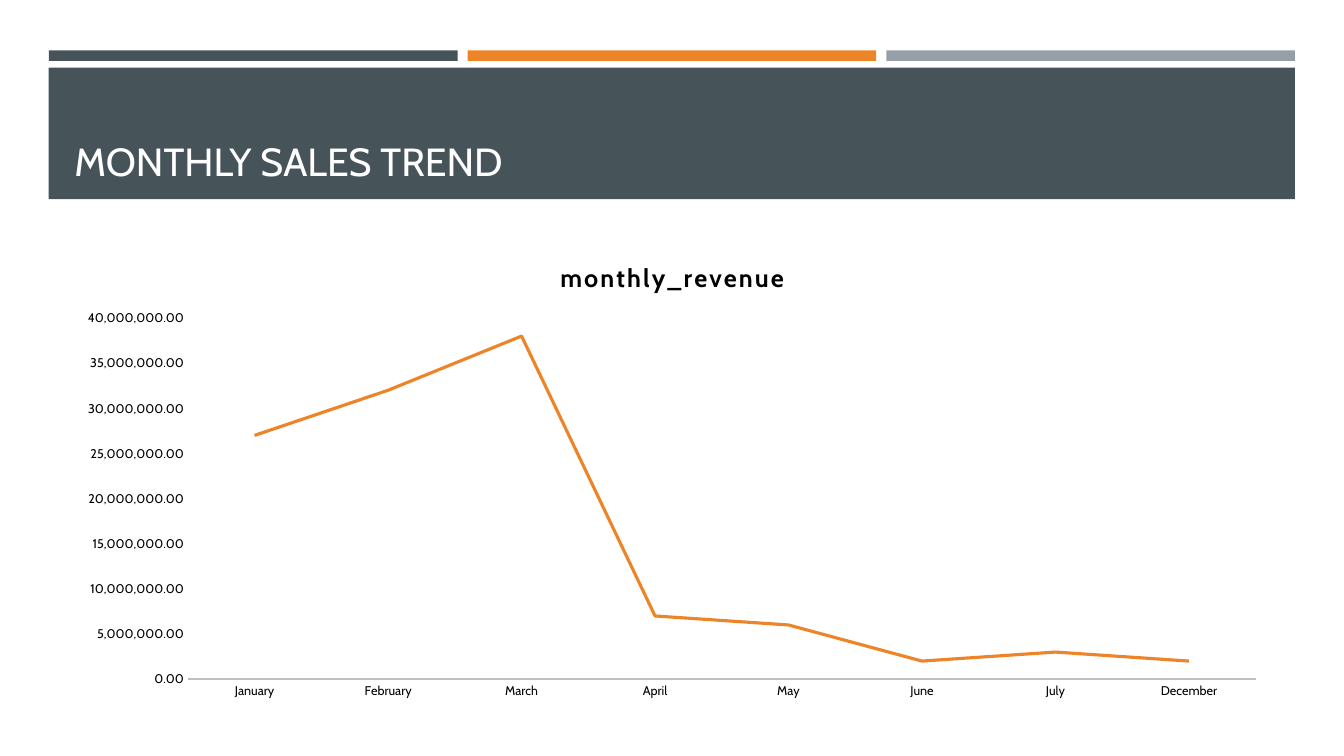
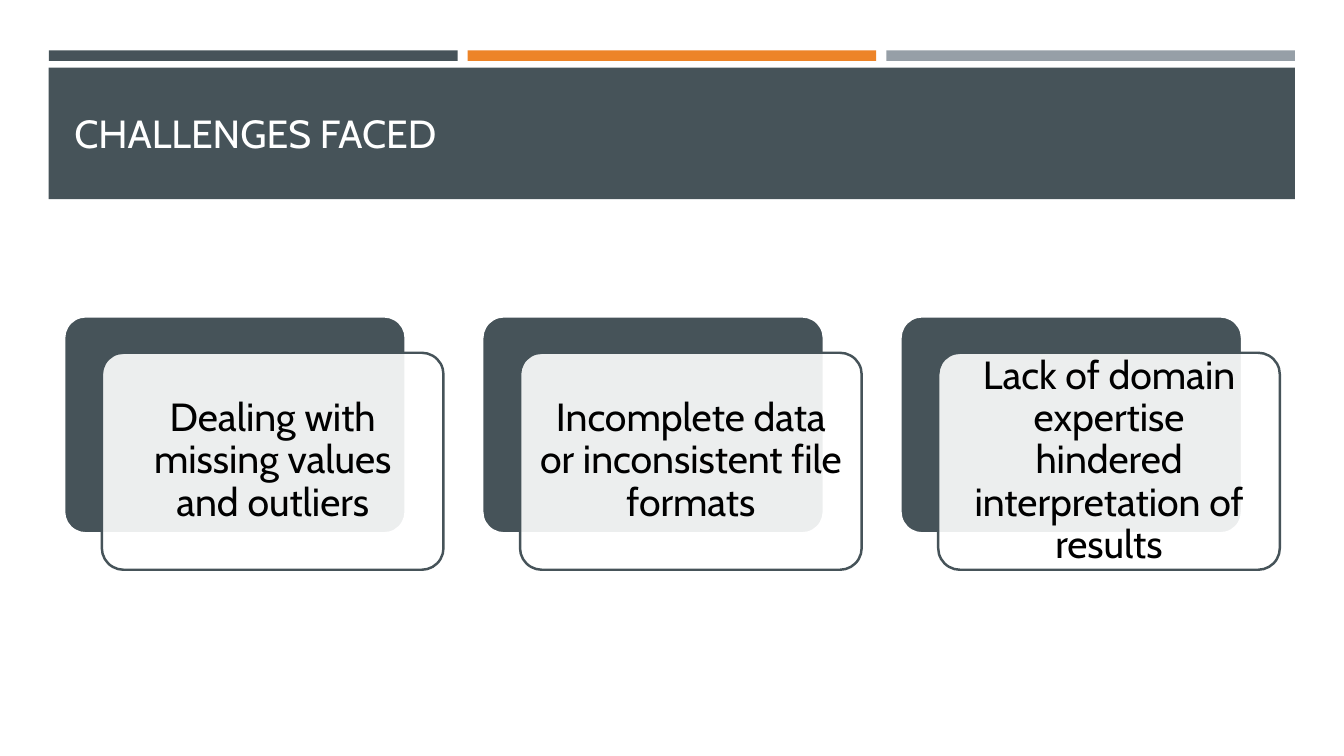
from collections import namedtuple

from lxml.etree import SubElement
from pptx import Presentation
from pptx.chart.data import CategoryChartData
from pptx.dml.color import RGBColor
from pptx.enum.chart import XL_CHART_TYPE, XL_TICK_MARK
from pptx.enum.shapes import MSO_SHAPE
from pptx.enum.text import MSO_ANCHOR, PP_ALIGN
from pptx.oxml import parse_xml
from pptx.oxml.ns import nsdecls, qn
from pptx.util import Pt

Box = namedtuple("Box", "left top width height")

COLORS = {
    "slate": "465359",
    "orange": "ED8428",
    "gray": "969FA7",
    "axis": "BFBFBF",
    "white": "FFFFFF",
    "title": "FFFEFF",
    "black": "000000",
}
FONT = "Cabin"
SLIDE_WIDTH, SLIDE_HEIGHT = 960, 540
STRIPES = Box(35, 36, 890, 7.5)
STRIPE_GAP = 7.2
BAND = Box(34.8, 48.4, 890.2, 93.8)
TITLE = Box(46, 54.8, 868.4, 80.6)
CHART = Box(46, 172, 868.4, 334)
PLOT = Box(88.2, 55.2, 762.8, 258)
CARDS = Box(45.8, 226, 868.4, 181)
CARD_SHIFT = (27, 26)
CARD_GAP = 27.7

MONTHLY_REVENUE = {
    "January": 27000000,
    "February": 32000000,
    "March": 38000000,
    "April": 7000000,
    "May": 6000000,
    "June": 2000000,
    "July": 3000000,
    "December": 2000000,
}
CHALLENGES = [
    "Dealing with missing values and outliers",
    "Incomplete data or inconsistent file formats",
    "Lack of domain expertise hindered interpretation of results",
]


def color(name):
    """Return the named colour."""
    return RGBColor.from_string(COLORS[name])


def points(box):
    """Return the four lengths of a box in points."""
    return [Pt(length) for length in box]


def style_font(font, size, color_name, bold=False):
    """Set the face, size, colour and weight of a font."""
    font.name = FONT
    font.size = Pt(size)
    font.bold = bold
    font.color.rgb = color(color_name)


def add_run(paragraph, text, size, color_name, bold=False):
    """Add one styled run to a paragraph."""
    run = paragraph.add_run()
    run.text = text
    style_font(run.font, size, color_name, bold)
    return run


def add_block(slide, box, fill, line=None, kind=MSO_SHAPE.RECTANGLE):
    """Add a filled shape without shadow, with an optional outline."""
    shape = slide.shapes.add_shape(kind, *points(box))
    shape.shadow.inherit = False
    shape.fill.solid()
    shape.fill.fore_color.rgb = color(fill)
    if line:
        shape.line.color.rgb = color(line)
        shape.line.width = Pt(1.75)
    else:
        shape.line.fill.background()
    return shape


def add_header(slide, title, anchor, title_color):
    """Add the three stripes, the band and the slide title."""
    names = ("slate", "orange", "gray")
    width = (STRIPES.width - STRIPE_GAP * (len(names) - 1)) / len(names)
    for index, name in enumerate(names):
        left = STRIPES.left + index * (width + STRIPE_GAP)
        add_block(slide, Box(left, STRIPES.top, width, STRIPES.height), name)
    add_block(slide, BAND, "slate")
    frame = slide.shapes.add_textbox(*points(TITLE)).text_frame
    frame.word_wrap = True
    frame.vertical_anchor = anchor
    add_run(frame.paragraphs[0], title, 28, title_color)


def set_plot_layout(chart, box, plot):
    """Fix the inner plot area, given in points relative to the chart box."""
    plot_area = chart._chartSpace.chart.plotArea
    for layout in plot_area.findall(qn("c:layout")):
        plot_area.remove(layout)
    layout = parse_xml(f"<c:layout {nsdecls('c')}><c:manualLayout/></c:layout>")
    settings = {
        "layoutTarget": "inner",
        "xMode": "edge",
        "yMode": "edge",
        "x": plot.left / box.width,
        "y": plot.top / box.height,
        "w": plot.width / box.width,
        "h": plot.height / box.height,
    }
    for tag, value in settings.items():
        SubElement(layout[0], qn(f"c:{tag}")).set("val", str(value))
    plot_area.insert(0, layout)


def add_revenue_chart(slide, box, title, values):
    """Add the titled line chart in the given box."""
    data = CategoryChartData(number_format="#,##0.00")
    data.categories = list(values)
    data.add_series(title, list(values.values()))
    chart = slide.shapes.add_chart(XL_CHART_TYPE.LINE, *points(box), data).chart
    style_font(chart.font, 10, "black")
    chart.has_legend = False
    chart.has_title = True
    paragraph = chart.chart_title.text_frame.paragraphs[0]
    run = add_run(paragraph, title, 18, "black", bold=True)
    run.font._element.set("spc", "150")
    chart.chart_title.include_in_layout = False
    set_plot_layout(chart, box, PLOT)

    for axis in (chart.category_axis, chart.value_axis):
        axis.has_major_gridlines = False
        axis.major_tick_mark = axis.minor_tick_mark = XL_TICK_MARK.NONE
        style_font(axis.tick_labels.font, 9, "black")
    chart.category_axis.format.line.color.rgb = color("axis")
    chart.category_axis.format.line.width = Pt(1.5)
    value_axis = chart.value_axis
    value_axis.format.line.fill.background()
    value_axis.minimum_scale = 0
    value_axis.maximum_scale = 40000000
    value_axis.major_unit = 5000000
    value_axis.tick_labels.number_format = "#,##0.00"
    value_axis.tick_labels.number_format_is_linked = False

    chart.plots[0].vary_by_categories = False
    series = chart.plots[0].series[0]
    series.smooth = False
    series.format.line.color.rgb = color("orange")
    series.format.line.width = Pt(2.25)


def add_card(slide, box, text):
    """Add a dark card with a shifted translucent text card over it."""
    shift_x, shift_y = CARD_SHIFT
    width, height = box.width - shift_x, box.height - shift_y
    back = add_block(slide, Box(box.left, box.top, width, height),
                     "slate", "white", MSO_SHAPE.ROUNDED_RECTANGLE)
    front = add_block(slide, Box(box.left + shift_x, box.top + shift_y, width, height),
                      "white", "slate", MSO_SHAPE.ROUNDED_RECTANGLE)
    back.adjustments[0] = front.adjustments[0] = 0.1
    fill_color = front._element.spPr.find(qn("a:solidFill"))[0]
    SubElement(fill_color, qn("a:alpha")).set("val", "90000")

    frame = front.text_frame
    frame.word_wrap = True
    frame.vertical_anchor = MSO_ANCHOR.MIDDLE
    frame.margin_left = frame.margin_right = Pt(8.4)
    frame.margin_top = frame.margin_bottom = Pt(8.4)
    paragraph = frame.paragraphs[0]
    paragraph.alignment = PP_ALIGN.CENTER
    paragraph.line_spacing = 0.9
    add_run(paragraph, text, 28, "black")


def add_card_row(slide, box, texts):
    """Spread one card for each text evenly over the given box."""
    width = (box.width - CARD_GAP * (len(texts) - 1)) / len(texts)
    for index, text in enumerate(texts):
        left = box.left + index * (width + CARD_GAP)
        add_card(slide, Box(left, box.top, width, box.height), text)


def main():
    """Build and save the presentation."""
    presentation = Presentation()
    presentation.slide_width = Pt(SLIDE_WIDTH)
    presentation.slide_height = Pt(SLIDE_HEIGHT)
    blank = presentation.slide_layouts[6]

    slide = presentation.slides.add_slide(blank)
    add_header(slide, "MONTHLY SALES TREND", MSO_ANCHOR.BOTTOM, "title")
    add_revenue_chart(slide, CHART, "monthly_revenue", MONTHLY_REVENUE)

    slide = presentation.slides.add_slide(blank)
    add_header(slide, "CHALLENGES FACED", MSO_ANCHOR.MIDDLE, "white")
    add_card_row(slide, CARDS, CHALLENGES)

    presentation.save("out.pptx")


if __name__ == "__main__":
    main()
